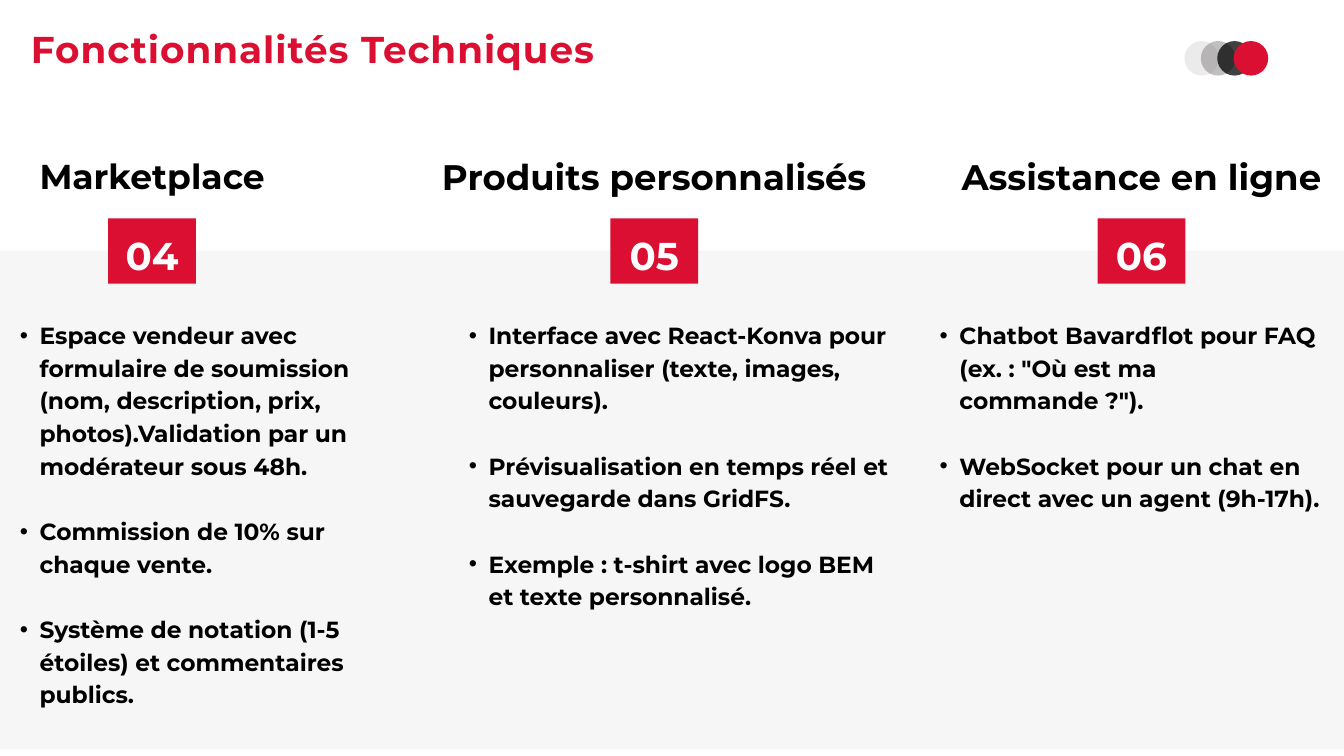
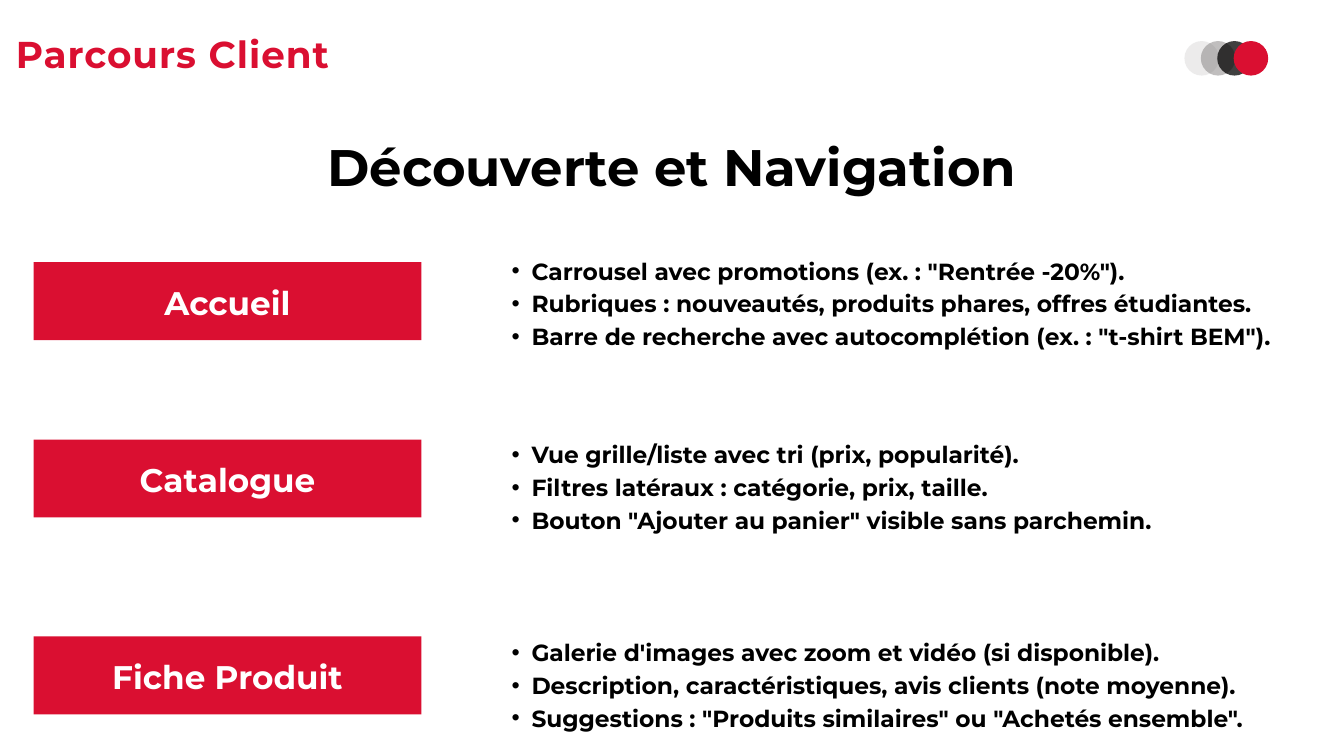
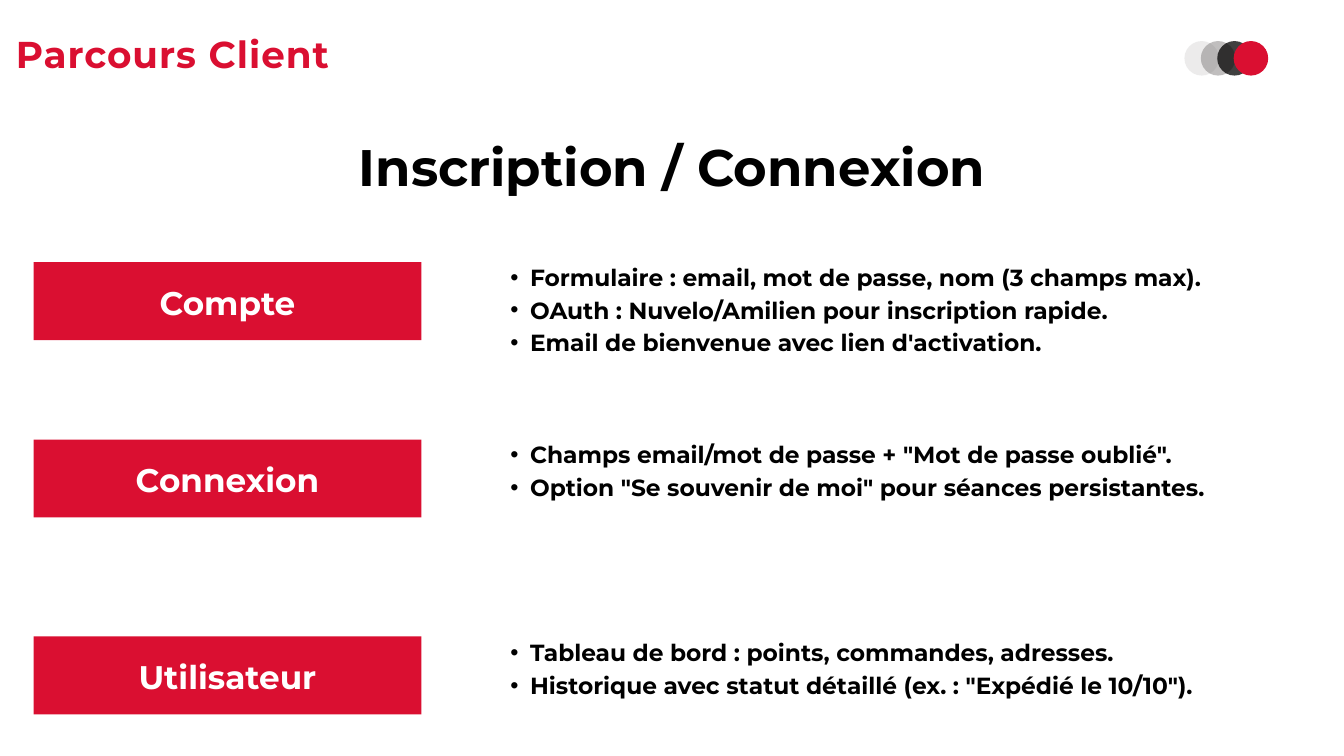
from dataclasses import dataclass

from lxml.etree import SubElement
from pptx import Presentation
from pptx.dml.color import RGBColor
from pptx.enum.shapes import MSO_SHAPE
from pptx.enum.text import MSO_ANCHOR, MSO_AUTO_SIZE, PP_ALIGN
from pptx.oxml.ns import qn
from pptx.util import Pt


@dataclass(frozen=True)
class Theme:
    font: str = "Montserrat"
    red: str = "DA0F31"
    black: str = "000000"
    white: str = "FFFFFF"
    grey: str = "827F7F"
    band: str = "F6F6F6"
    # (type size, line spacing)
    title: tuple = (40, 56)
    subtitle: tuple = (55, 59.4)
    heading: tuple = (38, 41)
    badge: tuple = (41.5, 58.2)
    label: tuple = (35, 49)
    body: tuple = (25, 35)


theme = Theme()
WIDTH, HEIGHT = 1440, 810


def write(shape, texts, style, colour, box=None, align=PP_ALIGN.CENTER,
          inset=0, gap=0, bullets=False, tracking=0):
    """Place a shape and fill it with evenly styled paragraphs."""
    if box:
        shape.left, shape.top, shape.width, shape.height = map(Pt, box)
    frame = shape.text_frame
    frame.word_wrap = True
    frame.auto_size = MSO_AUTO_SIZE.NONE
    frame.vertical_anchor = MSO_ANCHOR.TOP
    frame.margin_left = frame.margin_right = frame.margin_bottom = 0
    frame.margin_top = Pt(inset)
    frame.text = "\n".join(texts)
    size, line = style
    for number, paragraph in enumerate(frame.paragraphs):
        paragraph.alignment = align
        paragraph.line_spacing = Pt(line)
        paragraph.space_before = Pt(gap if number else 0)
        if bullets:
            properties = paragraph._p.get_or_add_pPr()
            properties.set("marL", str(Pt(42.5)))
            properties.set("indent", str(Pt(-21.25)))
            SubElement(properties, qn("a:buFont"), typeface="Arial")
            SubElement(properties, qn("a:buChar"), char="•")
        for run in paragraph.runs:
            run.font.name = theme.font
            run.font.size = Pt(size)
            run.font.bold = True
            run.font.color.rgb = RGBColor.from_string(colour)
            if tracking:
                run._r.get_or_add_rPr().set("spc", str(tracking))


def add_block(slide, preset, box, colour, opacity=100):
    """Add a plain filled shape, see-through below 100 % opacity."""
    block = slide.shapes.add_shape(preset, *map(Pt, box))
    block.shadow.inherit = False
    block.line.fill.background()
    block.fill.solid()
    block.fill.fore_color.rgb = RGBColor.from_string(colour)
    if opacity < 100:
        tint = block._element.spPr.find(qn("a:solidFill"))[0]
        SubElement(tint, qn("a:alpha"), val=str(opacity * 1000))
    return block


# Content
columns = [
    # number, heading, heading size, centre, list left, list width, points
    ("04", "Marketplace", (37, 40), 163, 0, 448.5, [
        "Espace vendeur avec formulaire de soumission (nom, description, prix, "
        "photos).Validation par un modérateur sous 48h.",
        "Commission de 10% sur chaque vente.",
        "Système de notation (1-5 étoiles) et commentaires publics.",
    ]),
    ("05", "Produits personnalisés", theme.heading, 701, 481, 488, [
        "Interface avec React-Konva pour personnaliser (texte, images, couleurs).",
        "Prévisualisation en temps réel et sauvegarde dans GridFS.",
        "Exemple : t-shirt avec logo BEM et texte personnalisé.",
    ]),
    ("06", "Assistance en ligne", theme.heading, 1223, 985.5, 454.5, [
        "Chatbot Bavardflot pour FAQ (ex. : \"Où est ma commande ?\").",
        "WebSocket pour un chat en direct avec un agent (9h-17h).",
    ]),
]
journeys = [
    # subtitle, list left, list tops, steps
    ("Découverte et Navigation", 527, (270, 467, 679), {
        "Accueil": [
            "Carrousel avec promotions (ex. : \"Rentrée -20%\").",
            "Rubriques : nouveautés, produits phares, offres étudiantes.",
            "Barre de recherche avec autocomplétion (ex. : \"t-shirt BEM\").",
        ],
        "Catalogue": [
            "Vue grille/liste avec tri (prix, popularité).",
            "Filtres latéraux : catégorie, prix, taille.",
            "Bouton \"Ajouter au panier\" visible sans parchemin.",
        ],
        "Fiche Produit": [
            "Galerie d'images avec zoom et vidéo (si disponible).",
            "Description, caractéristiques, avis clients (note moyenne).",
            "Suggestions : \"Produits similaires\" ou \"Achetés ensemble\".",
        ],
    }),
    ("Inscription / Connexion", 525.5, (277, 467, 679), {
        "Compte": [
            "Formulaire : email, mot de passe, nom (3 champs max).",
            "OAuth : Nuvelo/Amilien pour inscription rapide.",
            "Email de bienvenue avec lien d'activation.",
        ],
        "Connexion": [
            "Champs email/mot de passe + \"Mot de passe oublié\".",
            "Option \"Se souvenir de moi\" pour séances persistantes.",
        ],
        "Utilisateur": [
            "Tableau de bord : points, commandes, adresses.",
            "Historique avec statut détaillé (ex. : \"Expédié le 10/10\").",
        ],
    }),
]
titles = [("Fonctionnalités Techniques", 33, 19.5),
          ("Parcours Client", 17, 25),
          ("Parcours Client", 17, 25)]
dots = [(theme.grey, 15), (theme.grey, 50), (theme.black, 75), (theme.red, 100)]

presentation = Presentation()
presentation.slide_width, presentation.slide_height = Pt(WIDTH), Pt(HEIGHT)
comparison = presentation.slide_layouts[4]

# Title and row of dots on every slide
slides = []
for title, left, top in titles:
    slide = presentation.slides.add_slide(comparison)
    write(slide.shapes.title, [title], theme.title, theme.red,
          (left, top, 640, 53), PP_ALIGN.LEFT, tracking=110)
    for place, (colour, opacity) in enumerate(dots):
        add_block(slide, MSO_SHAPE.OVAL, (1269 + 17.6 * place, 44, 37, 37),
                  colour, opacity)
    slides.append(slide)

# Technical features: three numbered columns over a grey band
features = slides[0]
spare = features.placeholders[1].element
spare.getparent().remove(spare)
band = add_block(features, MSO_SHAPE.RECTANGLE, (0, 268.5, WIDTH, 534.5), theme.band)
features.shapes._spTree.insert(2, band._element)

for index, (number, heading, style, centre, left, width, points) in enumerate(columns):
    half = min(centre, WIDTH - centre, 240)
    write(features.shapes.add_textbox(0, 0, 0, 0), [heading], style, theme.black,
          (centre - half, 170.5, 2 * half, 42))
    badge = add_block(features, MSO_SHAPE.RECTANGLE, (centre - 47, 234, 94, 70), theme.red)
    write(badge, [number], theme.badge, theme.white, inset=6)
    write(features.placeholders[2 + index], points, theme.body, theme.black,
          (left, 339, width, 412), PP_ALIGN.LEFT, gap=35, bullets=True)

# Customer journey: three labelled steps per slide
for slide, (subtitle, left, tops, steps) in zip(slides[1:], journeys):
    write(slide.placeholders[1], [subtitle], theme.subtitle, theme.black,
          (299, 151, 842, 61))
    for index, (step, points) in enumerate(steps.items()):
        label = add_block(slide, MSO_SHAPE.RECTANGLE,
                          (36, (281, 471, 682)[index], 415.5, 83.5), theme.red)
        write(label, [step], theme.label, theme.white, inset=15)
        write(slide.placeholders[2 + index], points, theme.body, theme.black,
              (left, tops[index], WIDTH - left, 35 * len(points)),
              PP_ALIGN.LEFT, bullets=True)

presentation.save("out.pptx")
